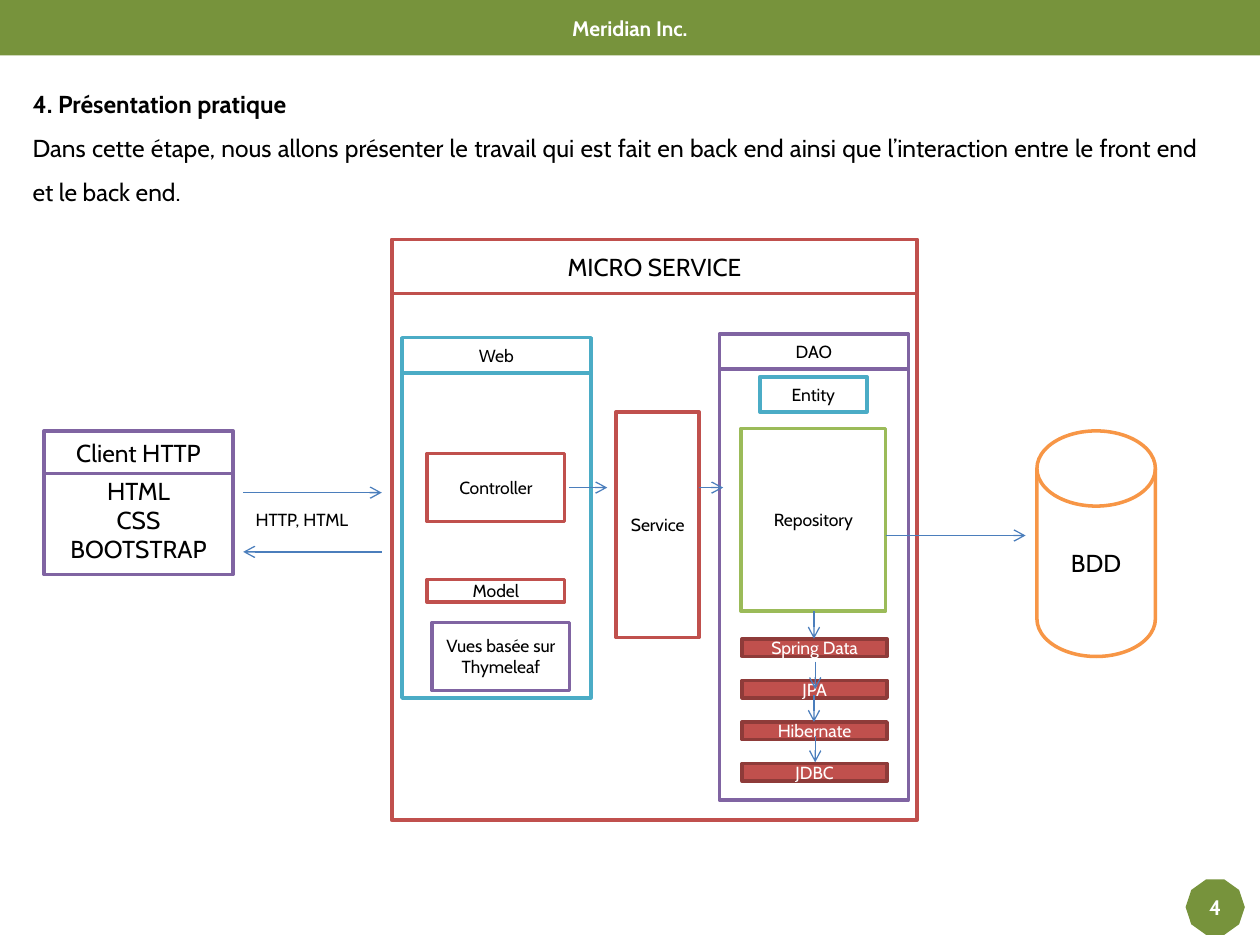
from dataclasses import dataclass

from lxml import etree
from pptx import Presentation
from pptx.dml.color import RGBColor
from pptx.enum.shapes import MSO_CONNECTOR, MSO_SHAPE
from pptx.enum.text import MSO_ANCHOR, PP_ALIGN
from pptx.oxml.ns import qn
from pptx.util import Emu, Pt

RECT, DISK, DECAGON = MSO_SHAPE.RECTANGLE, MSO_SHAPE.FLOWCHART_MAGNETIC_DISK, MSO_SHAPE.DECAGON
STRAIGHT = MSO_CONNECTOR.STRAIGHT
LEFT, CENTER, JUSTIFY = PP_ALIGN.LEFT, PP_ALIGN.CENTER, PP_ALIGN.JUSTIFY
TOP, MIDDLE = MSO_ANCHOR.TOP, MSO_ANCHOR.MIDDLE
EMU_PER_PX = 9144  # 100 px to the inch


@dataclass(frozen=True)
class Theme:
    font: str = "Cabin"
    black: str = "000000"
    white: str = "FFFFFF"
    band: str = "77933C"
    red: str = "C0504D"
    dark_red: str = "8E3B39"
    purple: str = "8064A2"
    teal: str = "4BACC6"
    green: str = "9BBB59"
    orange: str = "F79646"
    arrow: str = "4B7EBC"
    large: int = 14
    medium: int = 12
    small: int = 10
    border: float = 2
    arrow_width: float = 0.75


T = Theme()


@dataclass(frozen=True)
class Box:
    x: int
    y: int
    w: int
    h: int
    text: str = ""
    line: str | None = None
    fill: str = T.white
    color: str = T.black
    size: int = T.small
    bold: bool = False
    kind: MSO_SHAPE = RECT


@dataclass(frozen=True)
class Panel:
    """A titled frame: the title bar lies over the top of the body."""
    x: int
    y: int
    w: int
    title_h: int
    body_y: int
    body_h: int
    title: str
    line: str
    size: int = T.small
    text: str = ""


@dataclass(frozen=True)
class Arrow:
    x1: int
    y1: int
    x2: int
    y2: int


def px(n: int) -> Emu:
    return Emu(n * EMU_PER_PX)


def rgb(color: str) -> RGBColor:
    return RGBColor.from_string(color)


def write(tf, text: str, *, size: int = T.small, color: str = T.black, bold: bool = False,
          align=CENTER, anchor=MIDDLE, spacing: float = 1.0, wrap: bool = True,
          bold_first: bool = False) -> None:
    tf.word_wrap = wrap
    tf.vertical_anchor = anchor
    for i, line in enumerate(text.split("\n")):
        p = tf.paragraphs[0] if i == 0 else tf.add_paragraph()
        p.alignment = align
        p.line_spacing = spacing
        r = p.add_run()
        r.text = line
        r.font.name = T.font
        r.font.size = Pt(size)
        r.font.bold = bold or (bold_first and i == 0)
        r.font.color.rgb = rgb(color)


def draw_box(s, box: Box) -> None:
    sp = s.shapes.add_shape(box.kind, px(box.x), px(box.y), px(box.w), px(box.h))
    sp.shadow.inherit = False
    sp.fill.solid()
    sp.fill.fore_color.rgb = rgb(box.fill)
    if box.line:
        sp.line.color.rgb = rgb(box.line)
        sp.line.width = Pt(T.border)
    else:
        sp.line.fill.background()
    if box.text:
        write(sp.text_frame, box.text, size=box.size, color=box.color, bold=box.bold)


def draw_panel(s, panel: Panel) -> None:
    draw_box(s, Box(panel.x, panel.body_y, panel.w, panel.body_h, panel.text,
                    panel.line, size=panel.size))
    draw_box(s, Box(panel.x, panel.y, panel.w, panel.title_h, panel.title,
                    panel.line, size=panel.size))


def draw_arrow(s, a: Arrow) -> None:
    cx = s.shapes.add_connector(STRAIGHT, px(a.x1), px(a.y1), px(a.x2), px(a.y2))
    cx.line.color.rgb = rgb(T.arrow)
    cx.line.width = Pt(T.arrow_width)
    etree.SubElement(cx.line._get_or_add_ln(), qn("a:tailEnd"), type="arrow")
    etree.SubElement(cx._element.spPr, qn("a:effectLst"))


def draw_text(s, x: int, y: int, w: int, h: int, text: str, **fmt) -> None:
    tb = s.shapes.add_textbox(px(x), px(y), px(w), px(h))
    write(tb.text_frame, text, anchor=TOP, **fmt)


INTRO = ("4. Présentation pratique\n"
         "Dans cette étape, nous allons présenter le travail qui est fait en back end "
         "ainsi que l’interaction entre le front end et le back end.")

PANELS = [
    Panel(35, 342, 150, 34, 369, 87, "Client HTTP", T.purple, T.large, "HTML\nCSS\nBOOTSTRAP"),
    Panel(311, 190, 417, 43, 226, 425, "MICRO SERVICE", T.red, T.large),
    Panel(319, 268, 150, 28, 296, 258, "Web", T.teal),
    Panel(571, 265, 150, 28, 293, 342, "DAO", T.purple),
]

BOXES = [
    # Header band and page number
    Box(0, 0, 1000, 44, "Meridian Inc.", fill=T.band, color=T.white, size=T.medium, bold=True),
    Box(941, 698, 47, 44, "4", fill=T.band, color=T.white, size=T.medium, bold=True, kind=DECAGON),
    # Web layer
    Box(339, 360, 109, 54, "Controller", T.red),
    Box(339, 460, 109, 18, "Model", T.red),
    Box(343, 494, 109, 54, "Vues basée sur\nThymeleaf", T.purple),
    # Service layer
    Box(489, 327, 66, 179, "Service", T.red),
    # Data layer and database
    Box(603, 299, 85, 28, "Entity", T.teal),
    Box(588, 340, 115, 145, "Repository", T.green),
    Box(823, 342, 94, 179, "BDD", T.orange, size=T.large, kind=DISK),
]

# Persistence stack under the repository
STACK = [Box(589, 507 + 33 * i, 115, 14, name, T.dark_red, T.red, T.white)
         for i, name in enumerate(["Spring Data", "JPA", "Hibernate", "JDBC"])]

ARROWS = [
    # Client and micro service
    Arrow(193, 391, 303, 391), Arrow(303, 438, 193, 438),
    # Controller to service to DAO to database
    Arrow(452, 387, 482, 387), Arrow(555, 387, 574, 387), Arrow(703, 425, 814, 425),
    # Down the persistence stack
    Arrow(646, 485, 646, 507), Arrow(647, 525, 647, 547),
    Arrow(646, 552, 646, 573), Arrow(647, 584, 647, 605),
]


def main() -> None:
    prs = Presentation()
    prs.slide_width, prs.slide_height = px(1000), px(750)
    s = prs.slides.add_slide(prs.slide_layouts[6])

    for panel in PANELS:
        draw_panel(s, panel)
    for box in BOXES + STACK:
        draw_box(s, box)
    for arrow in ARROWS:
        draw_arrow(s, arrow)

    draw_text(s, 16, 54, 945, 116, INTRO, size=T.large, align=JUSTIFY, spacing=1.5, bold_first=True)
    draw_text(s, 193, 399, 98, 27, "HTTP, HTML", align=LEFT, wrap=False)
    prs.save("out.pptx")


if __name__ == "__main__":
    main()
